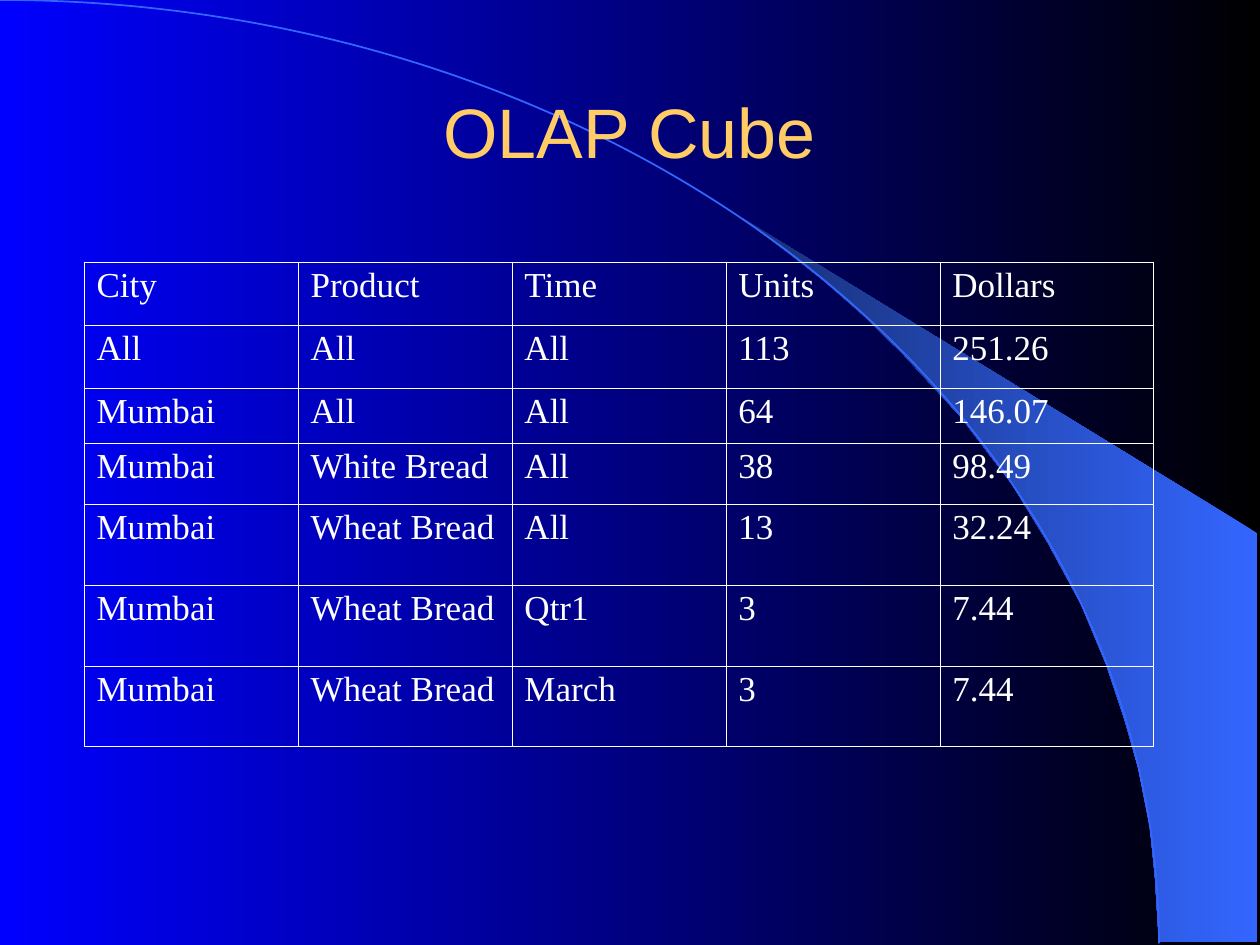
from dataclasses import dataclass

from lxml import etree
from pptx import Presentation
from pptx.dml.color import RGBColor
from pptx.enum.shapes import MSO_SHAPE
from pptx.enum.text import MSO_ANCHOR, MSO_AUTO_SIZE, PP_ALIGN
from pptx.oxml.ns import qn
from pptx.util import Pt

EMU_PER_PX = 914400 / 126
ARC = MSO_SHAPE.ARC
MIDDLE = MSO_ANCHOR.MIDDLE
NO_AUTOFIT = MSO_AUTO_SIZE.NONE
LEFT, CENTER = PP_ALIGN.LEFT, PP_ALIGN.CENTER

BLACK = RGBColor(0x00, 0x00, 0x00)
BLUE = RGBColor(0x00, 0x00, 0xFF)
SKY = RGBColor(0x33, 0x66, 0xFF)
NAVY = RGBColor(0x17, 0x2F, 0x75)
GOLD = RGBColor(0xFF, 0xCC, 0x66)
WHITE = RGBColor(0xFF, 0xFF, 0xFF)

OUTER_BORDER, INNER_BORDER = Pt(0.5), Pt(0.23)
COLUMN_WIDTH = 214
BEAM_OUTLINE = [
    (1159, 942), (1257, 942), (1257, 533), (742, 218), (786, 251), (823, 280),
    (863, 315), (902, 353), (960, 416), (1012, 484), (1048, 543), (1081, 604),
    (1106, 664), (1125, 721), (1138, 767), (1150, 827), (1155, 877),
]


@dataclass(frozen=True)
class CubeRow:
    height: int
    values: tuple[str, ...]


CUBE_ROWS = [
    CubeRow(63, ("City", "Product", "Time", "Units", "Dollars")),
    CubeRow(63, ("All", "All", "All", "113", "251.26")),
    CubeRow(55, ("Mumbai", "All", "All", "64", "146.07")),
    CubeRow(61, ("Mumbai", "White Bread", "All", "38", "98.49")),
    CubeRow(81, ("Mumbai", "Wheat Bread", "All", "13", "32.24")),
    CubeRow(81, ("Mumbai", "Wheat Bread", "Qtr1", "3", "7.44")),
    CubeRow(81, ("Mumbai", "Wheat Bread", "March", "3", "7.44")),
]


def px(length: int) -> int:
    return round(length * EMU_PER_PX)


def write_text(frame, text: str, *, font: str, size: int, color: RGBColor,
               align=LEFT, line_spacing: float = 1.0, space_before: int = 0) -> None:
    paragraph = frame.paragraphs[0]
    paragraph.alignment = align
    paragraph.line_spacing = line_spacing
    paragraph.space_before = Pt(space_before)
    run = paragraph.add_run()
    run.text = text
    run.font.name = font
    run.font.size = Pt(size)
    run.font.color.rgb = color


def fill_right_to_left(fill, start: RGBColor, end: RGBColor) -> None:
    fill.gradient()
    fill.gradient_angle = 180
    for stop, color in zip(fill.gradient_stops, (start, end)):
        stop.color.rgb = color


def draw_backdrop(slide) -> None:
    fill_right_to_left(slide.background.fill, BLACK, BLUE)

    builder = slide.shapes.build_freeform(*BEAM_OUTLINE[0], scale=EMU_PER_PX)
    builder.add_line_segments(BEAM_OUTLINE[1:], close=True)
    beam = builder.convert_to_shape()
    beam.shadow.inherit = False
    fill_right_to_left(beam.fill, SKY, NAVY)
    beam.line.fill.background()

    horizon = slide.shapes.add_shape(ARC, px(-1159), 0, px(2318), px(1887))
    horizon.shadow.inherit = False
    horizon.fill.background()
    horizon.line.color.rgb = SKY
    horizon.line.width = Pt(1)


def draw_title(slide) -> None:
    title = slide.shapes.title
    title.left, title.top, title.width, title.height = map(px, (94, 73, 1071, 116))
    frame = title.text_frame
    frame.vertical_anchor = MIDDLE
    frame.auto_size = NO_AUTOFIT
    write_text(frame, "OLAP Cube", font="Arial", size=40, color=GOLD, align=CENTER)
    # Bring the title in front of the backdrop.
    title.element.getparent().append(title.element)


def add_border(cell, side: str, width: int) -> None:
    properties = cell._tc.get_or_add_tcPr()
    line = etree.SubElement(properties, qn(f"a:ln{side}"), w=str(width))
    solid = etree.SubElement(line, qn("a:solidFill"))
    etree.SubElement(solid, qn("a:srgbClr"), val=str(WHITE))


def draw_cube_table(slide) -> None:
    row_count, column_count = len(CUBE_ROWS), len(CUBE_ROWS[0].values)
    table = slide.shapes.add_table(
        row_count, column_count, px(84), px(262), px(COLUMN_WIDTH * column_count),
        px(sum(row.height for row in CUBE_ROWS))).table
    table.first_row = False
    table.horz_banding = False
    for column in table.columns:
        column.width = px(COLUMN_WIDTH)

    for row_index, row in enumerate(CUBE_ROWS):
        table.rows[row_index].height = px(row.height)
        for column_index, value in enumerate(row.values):
            cell = table.cell(row_index, column_index)
            write_text(cell.text_frame, value, font="Times New Roman", size=20,
                       color=WHITE, line_spacing=0.93, space_before=5)
            on_edge = {
                "L": column_index == 0,
                "R": column_index == column_count - 1,
                "T": row_index == 0,
                "B": row_index == row_count - 1,
            }
            for side, is_outer in on_edge.items():
                add_border(cell, side, OUTER_BORDER if is_outer else INNER_BORDER)
            cell.fill.background()


def main() -> None:
    presentation = Presentation()
    presentation.slide_width = px(1260)
    presentation.slide_height = px(945)
    title_only_layout = presentation.slide_layouts[5]
    slide = presentation.slides.add_slide(title_only_layout)
    draw_backdrop(slide)
    draw_title(slide)
    draw_cube_table(slide)
    presentation.save("out.pptx")


if __name__ == "__main__":
    main()
